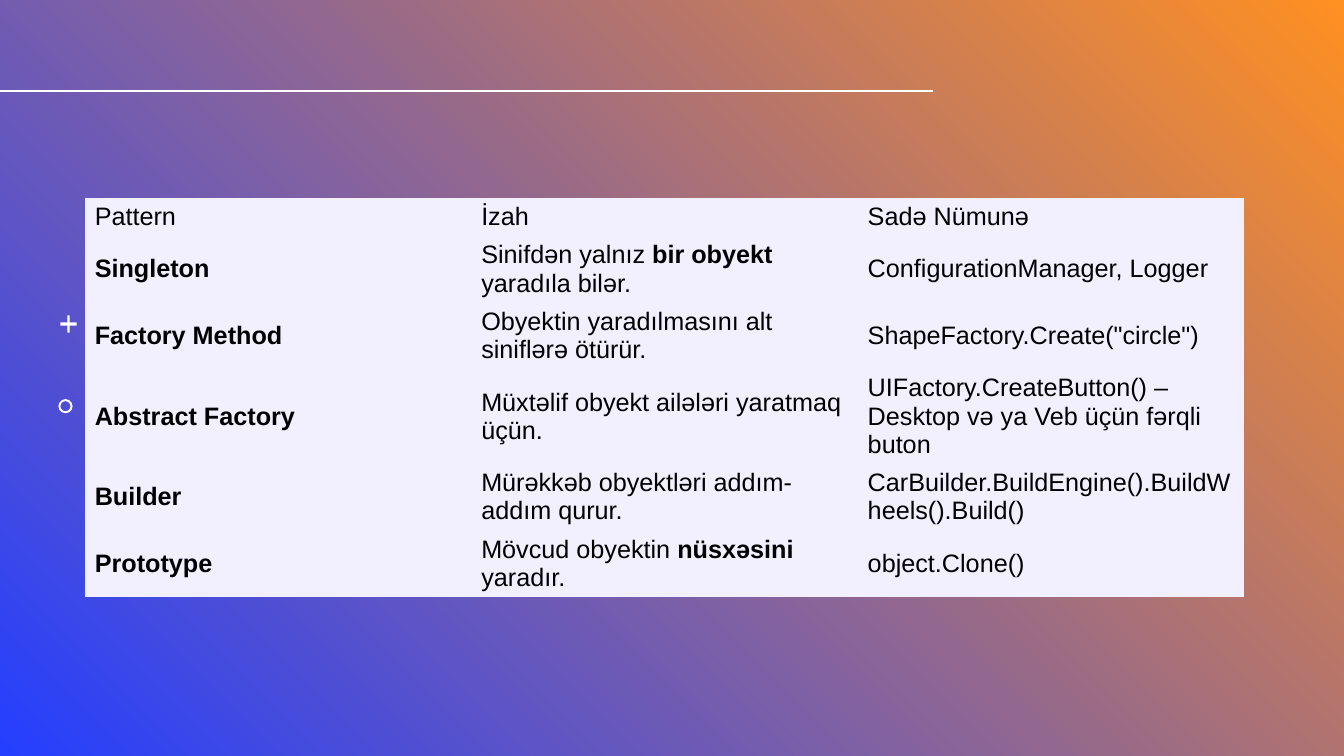
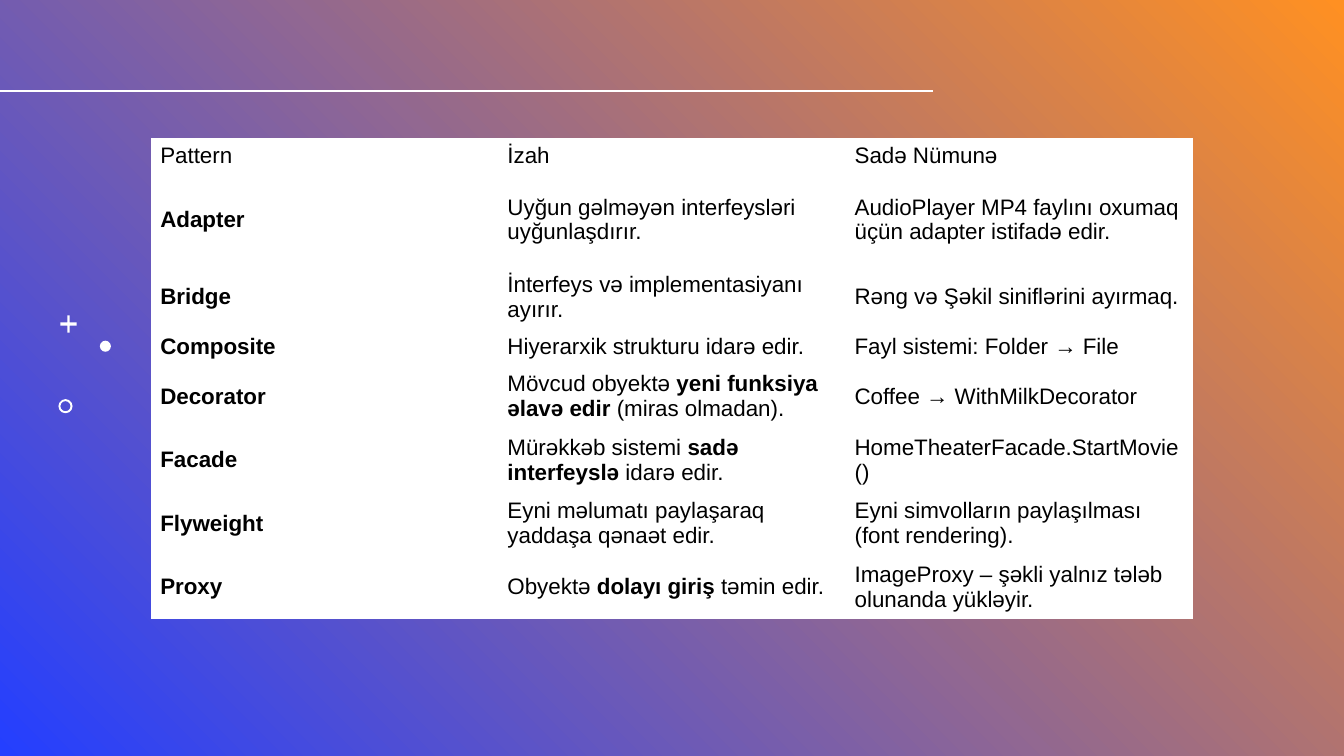
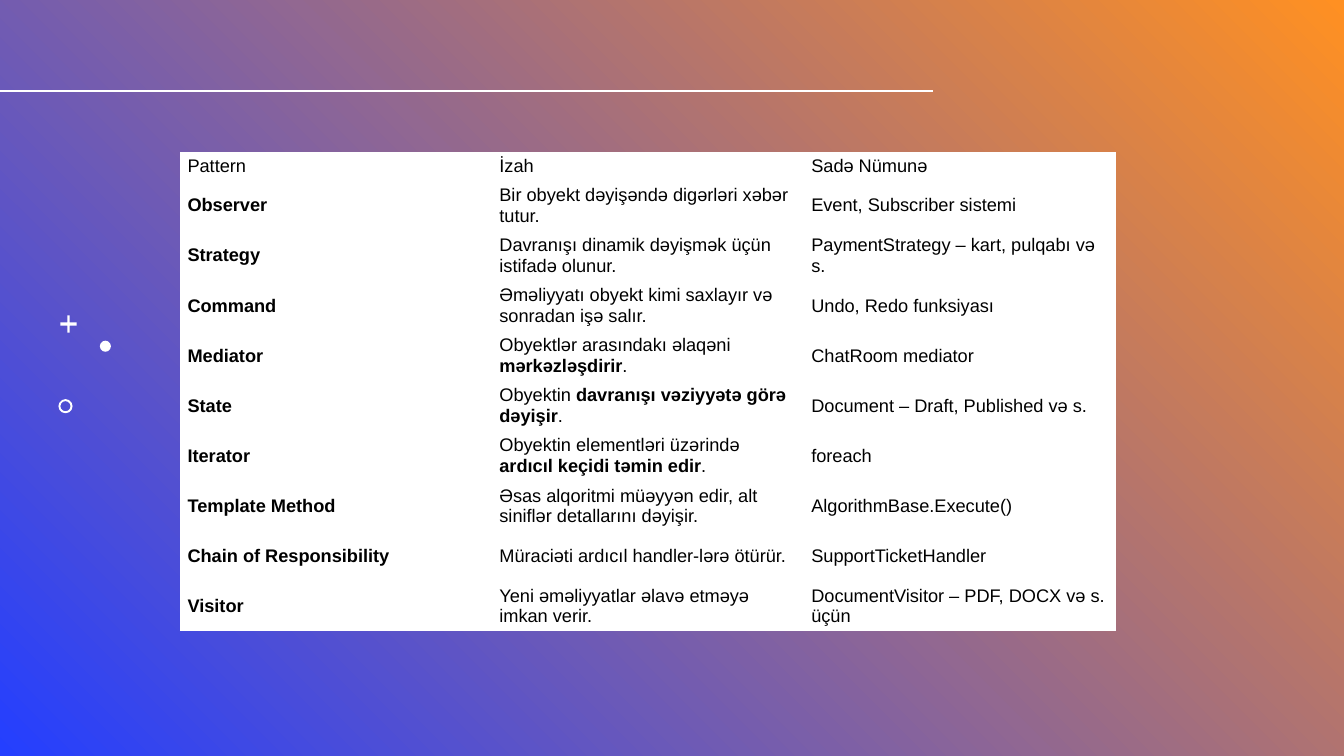
from dataclasses import dataclass

from pptx import Presentation
from pptx.dml.color import RGBColor
from pptx.enum.shapes import MSO_CONNECTOR, MSO_SHAPE
from pptx.enum.text import MSO_ANCHOR
from pptx.oxml.ns import qn
from pptx.util import Inches, Pt


@dataclass(frozen=True)
class Theme:
    font: str = "Arial"
    text: RGBColor = RGBColor(0x00, 0x00, 0x00)
    white: RGBColor = RGBColor(0xFF, 0xFF, 0xFF)
    lavender: RGBColor = RGBColor(0xF2, 0xF0, 0xFF)
    blue: RGBColor = RGBColor(0x24, 0x3F, 0xFF)
    orange: RGBColor = RGBColor(0xFF, 0x90, 0x22)
    rule: float = 1.5
    large: int = 18
    medium: int = 16
    small: int = 13


THEME = Theme()
NO_STYLE = "{2D5ABB26-0587-4C30-8999-92F81FD0307C}"
HEADER = ("Pattern", "İzah", "Sadə Nümunə")

# Words between ** marks are bold.
CREATIONAL = [
    ("Singleton", "Sinifdən yalnız **bir obyekt** yaradıla bilər.", "ConfigurationManager, Logger"),
    ("Factory Method", "Obyektin yaradılmasını alt siniflərə ötürür.", 'ShapeFactory.Create("circle")'),
    ("Abstract Factory", "Müxtəlif obyekt ailələri yaratmaq üçün.",
     "UIFactory.CreateButton() – Desktop və ya Veb üçün fərqli buton"),
    ("Builder", "Mürəkkəb obyektləri addım-addım qurur.",
     "CarBuilder.BuildEngine().BuildWheels().Build()"),
    ("Prototype", "Mövcud obyektin **nüsxəsini** yaradır.", "object.Clone()"),
]
STRUCTURAL = [
    ("Adapter", "Uyğun gəlməyən interfeysləri uyğunlaşdırır.",
     "AudioPlayer MP4 faylını oxumaq üçün adapter istifadə edir."),
    ("Bridge", "İnterfeys və implementasiyanı ayırır.", "Rəng və Şəkil siniflərini ayırmaq."),
    ("Composite", "Hiyerarxik strukturu idarə edir.", "Fayl sistemi: Folder → File"),
    ("Decorator", "Mövcud obyektə **yeni funksiya əlavə edir** (miras olmadan).",
     "Coffee → WithMilkDecorator"),
    ("Facade", "Mürəkkəb sistemi **sadə interfeyslə** idarə edir.", "HomeTheaterFacade.StartMovie()"),
    ("Flyweight", "Eyni məlumatı paylaşaraq yaddaşa qənaət edir.",
     "Eyni simvolların paylaşılması (font rendering)."),
    ("Proxy", "Obyektə **dolayı giriş** təmin edir.",
     "ImageProxy – şəkli yalnız tələb olunanda yükləyir."),
]
BEHAVIORAL = [
    ("Observer", "Bir obyekt dəyişəndə digərləri xəbər tutur.", "Event, Subscriber sistemi"),
    ("Strategy", "Davranışı dinamik dəyişmək üçün istifadə olunur.",
     "PaymentStrategy – kart, pulqabı və s."),
    ("Command", "Əməliyyatı obyekt kimi saxlayır və sonradan işə salır.", "Undo, Redo funksiyası"),
    ("Mediator", "Obyektlər arasındakı əlaqəni **mərkəzləşdirir**.", "ChatRoom mediator"),
    ("State", "Obyektin **davranışı vəziyyətə görə dəyişir**.", "Document – Draft, Published və s."),
    ("Iterator", "Obyektin elementləri üzərində **ardıcıl keçidi təmin edir**.", "foreach"),
    ("Template Method", "Əsas alqoritmi müəyyən edir, alt siniflər detallarını dəyişir.",
     "AlgorithmBase.Execute()"),
    ("Chain of Responsibility", "Müraciəti ardıcıl handler-lərə ötürür.", "SupportTicketHandler"),
    ("Visitor", "Yeni əməliyyatlar əlavə etməyə imkan verir.",
     "DocumentVisitor – PDF, DOCX və s. üçün"),
]


def set_background(master):
    fill = master.background.fill
    fill.gradient()
    fill.gradient_angle = 45
    for stop, color in zip(fill.gradient_stops, (THEME.blue, THEME.orange)):
        stop.color.rgb = color


def add_rule(s, y, length):
    line = s.shapes.add_connector(
        MSO_CONNECTOR.STRAIGHT, Inches(0), Inches(y), Inches(length), Inches(y))
    line.line.color.rgb = THEME.white
    line.line.width = Pt(THEME.rule)
    sp_pr = line._element.spPr
    sp_pr.append(sp_pr.makeelement(qn("a:effectLst"), {}))


def add_ornament(s, kind, x, y, w, h, thickness=None):
    sp = s.shapes.add_shape(kind, Inches(x), Inches(y), Inches(w), Inches(h))
    sp.shadow.inherit = False
    sp.fill.solid()
    sp.fill.fore_color.rgb = THEME.white
    sp.line.fill.background()
    if thickness is not None:
        sp.adjustments[0] = thickness


def add_ornaments(s, x, y, with_dot):
    """Plus, ring and, where the table leaves room, a dot."""
    add_ornament(s, MSO_SHAPE.CROSS, x + 0.02, y, 0.16, 0.17, 0.43)
    if with_dot:
        add_ornament(s, MSO_SHAPE.OVAL, x + 0.41, y + 0.25, 0.11, 0.11)
    add_ornament(s, MSO_SHAPE.DONUT, x, y + 0.83, 0.14, 0.14, 0.14)


def fill_cell(cell, text, size, bold, color, margins):
    cell.fill.solid()
    cell.fill.fore_color.rgb = color
    cell.vertical_anchor = MSO_ANCHOR.MIDDLE
    cell.margin_left = cell.margin_right = Inches(margins[0])
    cell.margin_top = cell.margin_bottom = Inches(margins[1])
    p = cell.text_frame.paragraphs[0]
    for i, part in enumerate(text.split("**")):
        r = p.add_run()
        r.text = part
        r.font.name = THEME.font
        r.font.size = Pt(size)
        r.font.bold = bold or i % 2 == 1
        r.font.color.rgb = THEME.text


def add_pattern_table(s, x, y, w, patterns, heights, size, color, margins):
    rows = [HEADER, *patterns]
    table = s.shapes.add_table(len(rows), len(HEADER), Inches(x), Inches(y),
                               Inches(w), Inches(sum(heights))).table
    table.first_row = table.horz_banding = False
    table._tbl.tblPr.find(qn("a:tableStyleId")).text = NO_STYLE
    for column in table.columns:
        column.width = Inches(w / len(HEADER))
    for i, (row, height) in enumerate(zip(rows, heights)):
        table.rows[i].height = Inches(height)
        for j, text in enumerate(row):
            fill_cell(table.cell(i, j), text, size, i > 0 and j == 0, color, margins)


def add_pattern_slide(prs, x, y, w, **table):
    s = prs.slides.add_slide(prs.slide_layouts[6])
    add_rule(s, 0.9, 9.25)
    add_ornaments(s, 0.58, 3.13, with_dot=x > 1.1)
    add_pattern_table(s, x, y, w, **table)


def main():
    prs = Presentation()
    prs.slide_width, prs.slide_height = Inches(13.33), Inches(7.5)
    set_background(prs.slide_master)
    add_pattern_slide(prs, 0.84, 1.96, 11.5, patterns=CREATIONAL,
                      heights=[0.38, 0.66, 0.66, 0.94, 0.66, 0.66],
                      size=THEME.large, color=THEME.lavender, margins=(0.1, 0.05))
    add_pattern_slide(prs, 1.5, 1.37, 10.33, patterns=STRUCTURAL,
                      heights=[0.36, 0.9, 0.63, 0.36] + [0.63] * 4,
                      size=THEME.medium, color=THEME.white, margins=(0.09, 0.04))
    add_pattern_slide(prs, 1.79, 1.51, 9.28, patterns=BEHAVIORAL,
                      heights=[0.28] + [4.47 / len(BEHAVIORAL)] * len(BEHAVIORAL),
                      size=THEME.small, color=THEME.white, margins=(0.07, 0.04))
    prs.save("out.pptx")


if __name__ == "__main__":
    main()
